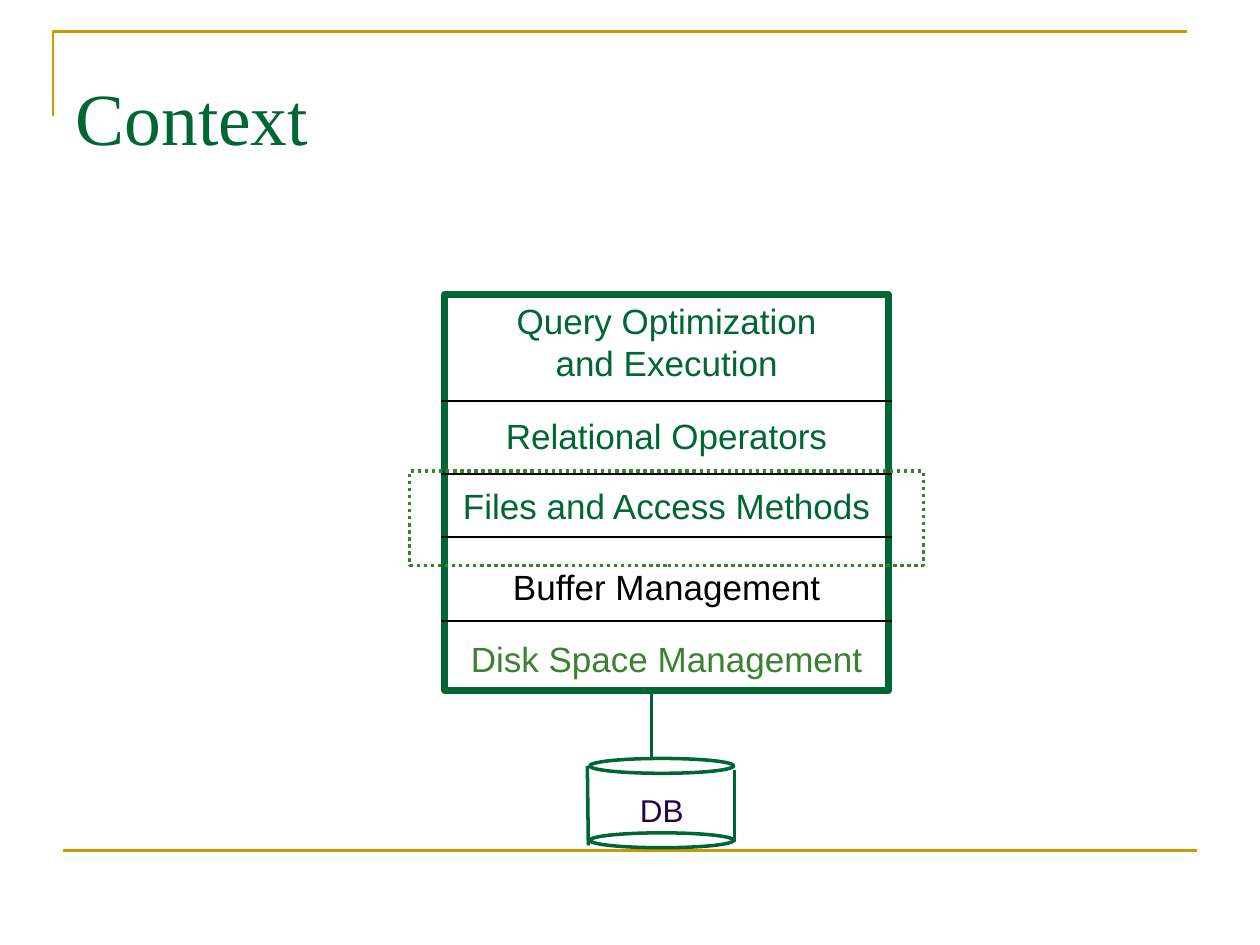
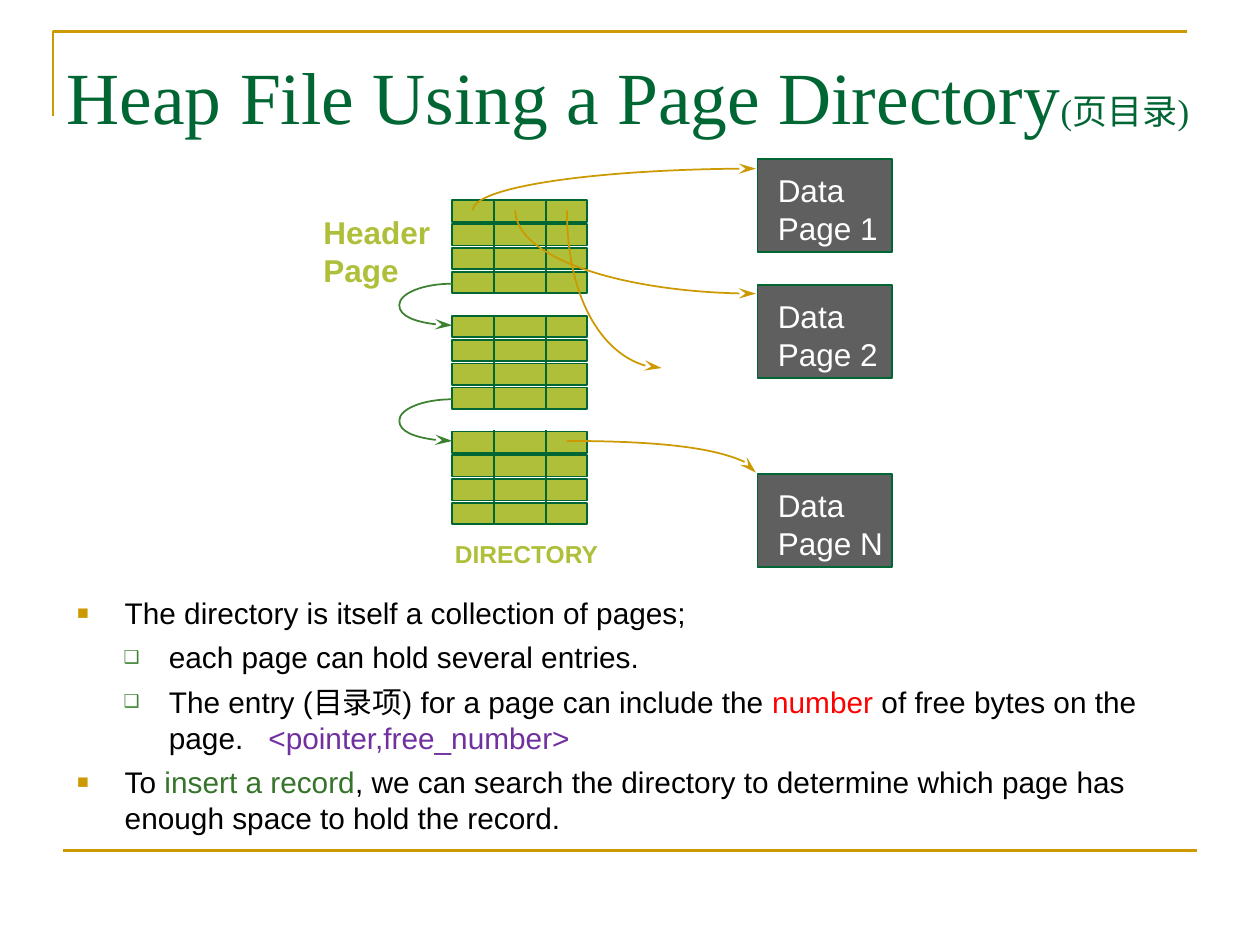
"""Build two database slides: the system layers and the heap file page directory."""
from lxml import etree
from pptx import Presentation
from pptx.dml.color import RGBColor
from pptx.enum import dml, shapes, text
from pptx.oxml import ns
from pptx.util import Cm, Pt

GREEN = RGBColor(0x00, 0x66, 0x33)
LEAF = RGBColor(0x3B, 0x81, 0x2F)
DEEP_LEAF = RGBColor(0x35, 0x74, 0x2A)
GOLD = RGBColor(0xCC, 0x99, 0x00)
LIME = RGBColor(0xAF, 0xBF, 0x39)
GREY = RGBColor(0x5F, 0x5F, 0x5F)
INDIGO = RGBColor(0x28, 0x00, 0x49)
PURPLE = RGBColor(0x70, 0x30, 0xA0)
RED = RGBColor(0xFF, 0x00, 0x00)
BLACK = RGBColor(0x00, 0x00, 0x00)
WHITE = RGBColor(0xFF, 0xFF, 0xFF)

CONTEXT_TITLE = [("Context", 42)]
CONTEXT_TITLE_BOX = (1.27, 0.76, 22.86, 3.18)
LAYERS = [
    (["Query Optimization", "and Execution"], (5.92, 6.55, 1.96), GREEN),
    (["Relational Operators"], (8.23, 7.01, 1.09), GREEN),
    (["Files and Access Methods"], (9.65, 8.76, 1.09), GREEN),
    (["Buffer Management"], (11.28, 6.73, 1.09), BLACK),
    (["Disk Space Management"], (12.73, 8.41, 1.09), LEAF),
]
STACK = (8.97, 5.94, 8.94, 7.98)
LAYER_DIVIDERS = [8.08, 9.55, 10.82, 12.52]
FOCUS = (8.26, 9.5, 10.36, 1.9)
DISK_LIDS = [15.29, 16.79]
DISK_LINES = [
    ((11.84, 15.44), (11.86, 17.04)),
    ((14.81, 15.52), (14.81, 16.97)),
    ((13.13, 14.0), (13.13, 15.27)),
]

HEAP_TITLE = [("Heap File Using a Page Directory", 42), ("(页目录)", 20)]
HEAP_TITLE_BOX = (1.09, 0.71, 23.9, 2.41)
NOTES_BOX = (1.3, 11.86, 22.81, 5.28)
NOTES = [
    (0, [("The directory is itself a collection of pages;", BLACK, 0)]),
    (1, [("each page can hold several entries.", BLACK, 0)]),
    (1, [("The entry (目录项) for a page can include the ", BLACK, 0),
         ("number", RED, 0), (" of free bytes on the page.", BLACK, 0),
         (" ", BLACK, 9.5), ("<pointer,free_number>", PURPLE, 0)]),
    (0, [("To ", BLACK, 0), ("insert a record", DEEP_LEAF, 0),
         (", we can search the directory to determine which page has "
          "enough space to hold the record.", BLACK, 0)]),
]
BULLETS = [("■", GOLD, 65, 0.96, -0.96), ("❑", LEAF, 60, 1.85, -0.91)]
DIRECTORY_TOPS = [4.04 + 2.33 * page for page in range(3)]
DIRECTORY_ROWS = 4
DIRECTORY_COLUMNS = [9.96, 11.0]
DATA_PAGES = [("Page 1", 3.2), ("Page 2", 5.74), ("Page N", 9.55)]
POINTERS = [
    ((9.53, 4.24), (15.24, 3.4), False),
    ((10.39, 4.24), (15.24, 5.92), False),
    ((11.43, 4.24), (13.34, 7.42), False),
    ((11.43, 8.89), (15.24, 9.53), True),
]


def assign(target, values):
    """Set every attribute named in values."""
    for name, value in values.items():
        setattr(target, name, value)


def add_xml(parent, tag, **attributes):
    """Append a DrawingML child element."""
    return etree.SubElement(parent, ns.qn(tag), attributes)


def place(shape, box):
    """Move and size a shape, in centimetres."""
    assign(shape, dict(zip(("left", "top", "width", "height"), map(Cm, box))))


def outline(shape, color, weight, fill=None):
    """Give a closed or open shape its line and fill, without a shadow."""
    shape.shadow.inherit = False
    shape.line.color.rgb = color
    shape.line.width = Pt(weight)
    if fill is None:
        shape.fill.background()
    else:
        shape.fill.solid()
        shape.fill.fore_color.rgb = fill
    return shape


def add_figure(slide, kind, box, color, weight, fill=None):
    """Add a preset shape."""
    return outline(slide.shapes.add_shape(kind, *map(Cm, box)), color, weight, fill)


def add_rule(slide, start, end, color, weight):
    """Add a straight line."""
    rule = slide.shapes.add_connector(
        shapes.MSO_CONNECTOR.STRAIGHT, *map(Cm, (*start, *end)))
    rule.line.color.rgb = color
    rule.line.width = Pt(weight)
    add_xml(rule.element.spPr, "a:effectLst")
    return rule


def add_outline(slide, points, color, weight):
    """Add an open outline through the points."""
    start, *others = [(Cm(x), Cm(y)) for x, y in points]
    builder = slide.shapes.build_freeform(*start)
    builder.add_line_segments(others, close=False)
    return outline(builder.convert_to_shape(), color, weight)


def add_arc(slide, start, end, flat_start, color, arrow=True):
    """Add a quarter ellipse that leaves start level or upright."""
    (x0, y0), (x1, y1) = start, end
    across, down = 0.55 * (x1 - x0), 0.55 * (y1 - y0)
    if flat_start:
        controls = [(x0 + across, y0), (x1, y1 - down)]
    else:
        controls = [(x0, y0 + down), (x1 - across, y1)]
    arc = add_outline(slide, [start, *controls, end], color, 1)
    segments = list(arc.element.iter(ns.qn("a:lnTo")))
    bezier = add_xml(segments[0].getparent(), "a:cubicBezTo")
    for segment in segments:
        bezier.append(segment[0])
        segment.getparent().remove(segment)
    if arrow:
        add_xml(arc.line._get_or_add_ln(), "a:tailEnd", type="stealth", len="lg")


def add_run(paragraph, words, size, color, name="Arial", bold=False):
    """Add formatted words to a paragraph."""
    run = paragraph.add_run()
    run.text = words
    assign(run.font, {"size": Pt(size), "name": name, "bold": bold})
    run.font.color.rgb = color
    return run


def write_lines(frame, lines, size, color, align=text.PP_ALIGN.LEFT, bold=False):
    """Write one paragraph a line."""
    for index, line in enumerate(lines):
        paragraph = frame.add_paragraph() if index else frame.paragraphs[0]
        paragraph.alignment = align
        add_run(paragraph, line, size, color, bold=bold)


def add_label(slide, box, lines, size, color, **style):
    """Add a text box that does not wrap."""
    frame = slide.shapes.add_textbox(*map(Cm, box)).text_frame
    frame.word_wrap = False
    write_lines(frame, lines, size, color, **style)


def set_title(slide, runs, box):
    """Fill and format the title placeholder."""
    title = slide.shapes.title
    place(title, box)
    assign(title.text_frame, {"vertical_anchor": text.MSO_ANCHOR.MIDDLE,
                              "auto_size": text.MSO_AUTO_SIZE.NONE})
    paragraph = title.text_frame.paragraphs[0]
    paragraph.alignment = text.PP_ALIGN.LEFT
    for words, size in runs:
        add_run(paragraph, words, size, GREEN, "Times New Roman")


def set_notes(body):
    """Fill the body placeholder with the two-level list."""
    place(body, NOTES_BOX)
    frame = body.text_frame
    frame.auto_size = text.MSO_AUTO_SIZE.NONE
    for index, (level, runs) in enumerate(NOTES):
        paragraph = frame.add_paragraph() if index else frame.paragraphs[0]
        assign(paragraph, {"level": level, "space_before": Pt(5 if index else 0)})
        mark, color, percent, margin, indent = BULLETS[level]
        properties = paragraph._p.get_or_add_pPr()
        properties.set("marL", str(Cm(margin)))
        properties.set("indent", str(Cm(indent)))
        add_xml(add_xml(properties, "a:buClr"), "a:srgbClr", val=str(color))
        add_xml(properties, "a:buSzPct", val=str(percent * 1000))
        add_xml(properties, "a:buChar", char=mark)
        for words, ink, spacing in runs:
            run = add_run(paragraph, words, 17, ink)
            if spacing:
                run.font._element.set("spc", str(int(spacing * 100)))


def add_master_lines(prs, slide):
    """Draw the gold lines and hand them to the slide master."""
    corner = add_outline(slide, [(1.07, 2.34), (1.07, 0.64), (23.93, 0.64)], GOLD, 1.5)
    footer = add_rule(slide, (1.27, 17.15), (24.13, 17.15), GOLD, 1.5)
    for number, line in enumerate((corner, footer), 101):
        line.element.xpath(".//p:cNvPr")[0].set("id", str(number))
        prs.slide_master.shapes.element.append(line.element)


def build_context(slide):
    """Draw the layers of the system above the disk."""
    set_title(slide, CONTEXT_TITLE, CONTEXT_TITLE_BOX)
    left, _, width, _ = STACK
    middle = left + width / 2
    for lines, (top, label_width, height), color in LAYERS:
        add_label(slide, (middle - label_width / 2, top, label_width, height),
                  lines, 20, color, align=text.PP_ALIGN.CENTER)
    add_figure(slide, shapes.MSO_SHAPE.RECTANGLE, STACK, GREEN, 4)
    for y in LAYER_DIVIDERS:
        add_rule(slide, (left - 0.08, y), (left + width + 0.08, y), BLACK, 1)
    for top in DISK_LIDS:
        add_figure(slide, shapes.MSO_SHAPE.OVAL, (11.89, top, 2.9, 0.3), GREEN, 2)
    for start, end in DISK_LINES:
        add_rule(slide, start, end, GREEN, 2)
    add_label(slide, (12.65, 15.82, 1.4, 1.02), ["DB"], 18, INDIGO)
    focus = add_figure(slide, shapes.MSO_SHAPE.RECTANGLE, FOCUS, LEAF, 2)
    focus.line.dash_style = dml.MSO_LINE.ROUND_DOT


def build_heap_file(slide):
    """Draw the page directory, its data pages and the notes."""
    set_title(slide, HEAP_TITLE, HEAP_TITLE_BOX)
    set_notes(slide.placeholders[1])
    for top in DIRECTORY_TOPS:
        for row in range(DIRECTORY_ROWS):
            add_figure(slide, shapes.MSO_SHAPE.RECTANGLE,
                       (9.12, top + 0.48 * row, 2.72, 0.43), GREEN, 1, LIME)
        for x in DIRECTORY_COLUMNS:
            add_rule(slide, (x, top - 0.03), (x, top + 1.88), GREEN, 1)
    for name, top in DATA_PAGES:
        page = add_figure(slide, shapes.MSO_SHAPE.RECTANGLE,
                          (15.27, top, 2.72, 1.88), GREEN, 1, GREY)
        assign(page.text_frame, {
            "margin_left": Cm(0.41), "margin_top": Cm(0.25), "margin_right": 0,
            "margin_bottom": 0, "word_wrap": True,
            "vertical_anchor": text.MSO_ANCHOR.TOP})
        write_lines(page.text_frame, ["Data", name], 18, WHITE)
    add_label(slide, (6.27, 4.17, 2.67, 1.78), ["Header", "Page"], 18, LIME, bold=True)
    add_label(slide, (8.92, 10.74, 3.43, 0.84), ["DIRECTORY"], 14, LIME, bold=True)
    for top in DIRECTORY_TOPS[:-1]:
        turn = (8.05, top + 2.11)
        add_arc(slide, (9.12, top + 1.68), turn, True, LEAF, arrow=False)
        add_arc(slide, turn, (9.12, top + 2.52), False, LEAF)
    for start, end, flat_start in POINTERS:
        add_arc(slide, start, end, flat_start, GOLD)


def main():
    """Build and save the deck."""
    prs = Presentation()
    assign(prs, {"slide_width": Cm(25.4), "slide_height": Cm(19.05)})
    context = prs.slides.add_slide(prs.slide_layouts[5])
    add_master_lines(prs, context)
    build_context(context)
    build_heap_file(prs.slides.add_slide(prs.slide_layouts[1]))
    prs.save("out.pptx")


if __name__ == "__main__":
    main()
